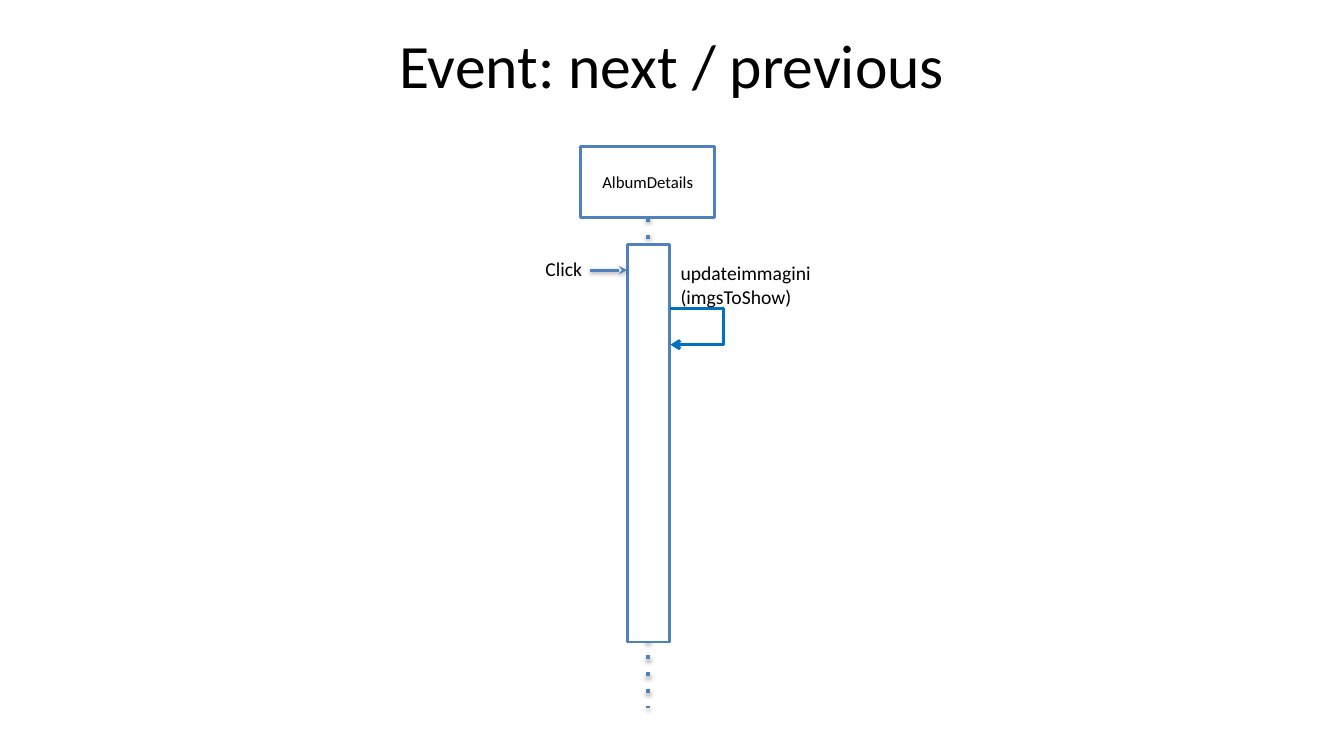
from lxml import etree
from pptx import Presentation
from pptx.dml.color import RGBColor
from pptx.enum.shapes import MSO_CONNECTOR, MSO_SHAPE
from pptx.enum.text import MSO_ANCHOR, PP_ALIGN
from pptx.oxml.ns import qn
from pptx.util import Inches, Pt

STRAIGHT = MSO_CONNECTOR.STRAIGHT
RECTANGLE = MSO_SHAPE.RECTANGLE
TOP, MIDDLE = MSO_ANCHOR.TOP, MSO_ANCHOR.MIDDLE
LEFT, CENTER = PP_ALIGN.LEFT, PP_ALIGN.CENTER

BLACK = RGBColor(0x00, 0x00, 0x00)
WHITE = RGBColor(0xFF, 0xFF, 0xFF)
STEEL = RGBColor(0x4F, 0x81, 0xBD)
BLUE = RGBColor(0x00, 0x70, 0xC0)
FONT = "Calibri"
BOTTOM_SITE = 2


def write(s, text, size, align=LEFT, anchor=TOP, inset=(0.12, 0.06)):
    tf = s.text_frame
    tf.word_wrap = True
    tf.vertical_anchor = anchor
    tf.margin_left = tf.margin_right = Inches(inset[0])
    tf.margin_top = tf.margin_bottom = Inches(inset[1])
    tf.text = text
    p = tf.paragraphs[0]
    p.alignment = align
    p.font.size = Pt(size)
    p.font.name = FONT
    p.font.color.rgb = BLACK


def add_label(shapes, text, left, top, width, height):
    s = shapes.add_textbox(*map(Inches, (left, top, width, height)))
    write(s, text, 14)


def add_box(shapes, left, top, width, height):
    s = shapes.add_shape(RECTANGLE, *map(Inches, (left, top, width, height)))
    s.shadow.inherit = False
    s.fill.solid()
    s.fill.fore_color.rgb = WHITE
    s.line.color.rgb = STEEL
    s.line.width = Pt(2)
    return s


def add_line(shapes, start, end, color, width, dash=None, head=None, shadow=None):
    """Draw a line; shadow is (opacity in percent, distance in points)."""
    s = shapes.add_connector(STRAIGHT, *map(Inches, (*start, *end)))
    s.line.color.rgb = color
    s.line.width = Pt(width)
    ln = s.line._get_or_add_ln()
    if dash:
        etree.SubElement(ln, qn("a:prstDash"), val=dash)
    if head:
        etree.SubElement(ln, qn("a:tailEnd"), type=head)
    effects = etree.SubElement(s._element.spPr, qn("a:effectLst"))
    if shadow:
        opacity, distance = shadow
        outer = etree.SubElement(
            effects, qn("a:outerShdw"), blurRad=str(Pt(3.1)),
            dist=str(Pt(distance)), dir="5400000", rotWithShape="0")
        tint = etree.SubElement(outer, qn("a:srgbClr"), val=str(BLACK))
        etree.SubElement(tint, qn("a:alpha"), val=str(opacity * 1000))
    return s


def add_title(slide, text, left, top, width, height):
    s = slide.shapes.title
    s.left, s.top, s.width, s.height = map(Inches, (left, top, width, height))
    write(s, text, 44, CENTER, MIDDLE, (0.1, 0.05))


def add_self_call(shapes, left, top, width, height):
    """Draw a message that leaves the activation bar and returns to it."""
    group = shapes.add_group_shape()
    right, bottom = left + width, top + height
    corners = [(left, top), (right, top), (right, bottom), (left, bottom)]
    for start, end in zip(corners, corners[1:]):
        head = "arrow" if end == corners[-1] else None
        add_line(group.shapes, start, end, BLUE, 2.25, head=head)


def add_sequence(shapes, left, top):
    """Draw the object, its lifeline and its messages from the object's corner."""
    add_label(shapes, "updateimmagini(imgsToShow)", left + 0.87, top + 1.08, 1.57, 0.66)
    width, height = 1.33, 0.71
    axis = left + width / 2
    lifeline = add_line(shapes, (axis, top + height), (axis, top + 5.57),
                        STEEL, 3, dash="dot", shadow=(35, 1.8))
    album = add_box(shapes, left, top, width, height)
    write(album, "AlbumDetails", 12, CENTER, MIDDLE)
    lifeline.begin_connect(album, BOTTOM_SITE)

    bar_left = left + 0.46
    add_box(shapes, bar_left, top + 0.98, 0.42, 3.94)
    add_label(shapes, "Click", left - 0.47, top + 1.04, 1.2, 0.49)
    click_y = top + 1.23
    add_line(shapes, (bar_left - 0.37, click_y), (bar_left, click_y),
             STEEL, 2, head="stealth", shadow=(38, 1.6))
    add_self_call(shapes, left + 0.89, top + 1.61, 0.53, 0.36)


def main():
    prs = Presentation()
    prs.slide_width, prs.slide_height = Inches(13.33), Inches(7.5)
    slide = prs.slides.add_slide(prs.slide_layouts[5])
    add_title(slide, "Event: next / previous", 0, 0.16, 13.33, 0.94)
    add_sequence(slide.shapes, 5.76, 1.45)
    prs.save("out.pptx")


if __name__ == "__main__":
    main()
